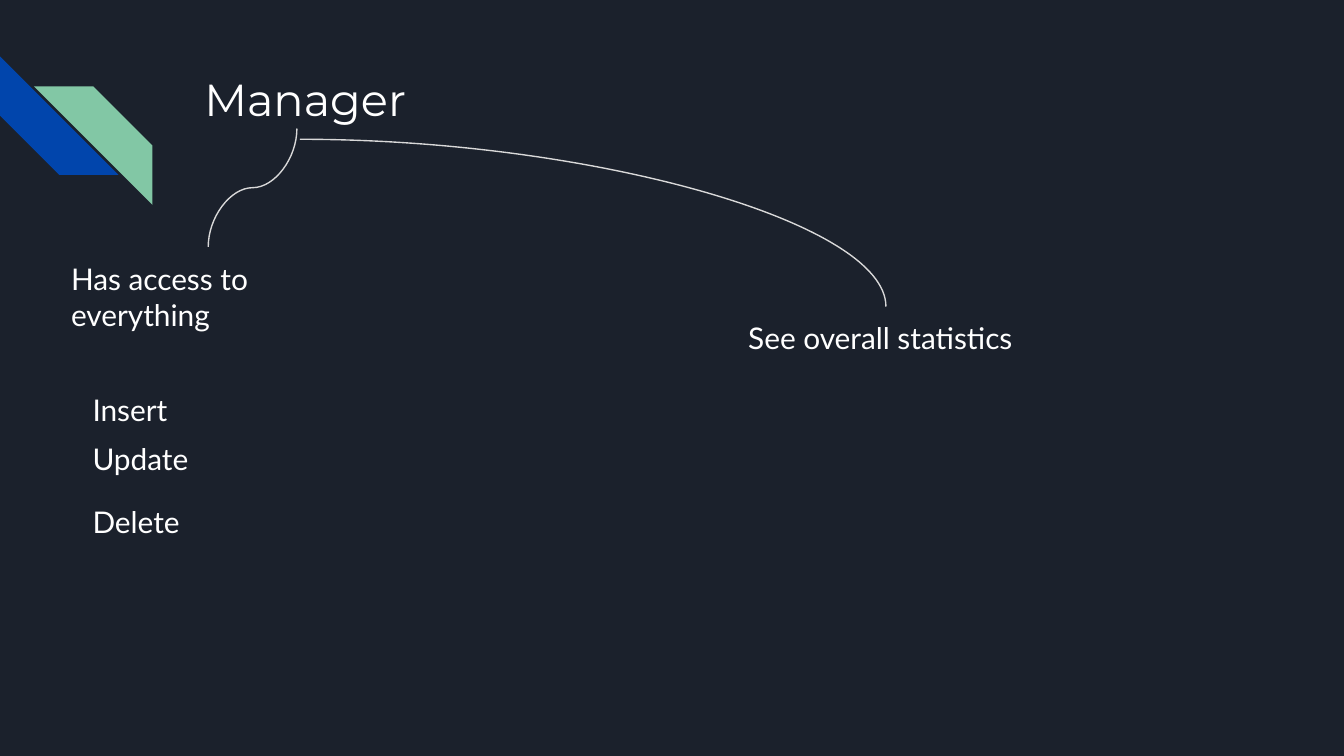
"""Build the Manager permissions slide."""
from pptx import Presentation
from pptx.dml.color import RGBColor
from pptx.enum.shapes import MSO_CONNECTOR as CONN, MSO_SHAPE as SHAPE
from pptx.oxml.ns import qn
from pptx.util import Pt
from lxml.etree import SubElement

NAVY = RGBColor(0x1B, 0x21, 0x2C)
BLUE = RGBColor(0x01, 0x45, 0xAC)
GREEN = RGBColor(0x82, 0xC7, 0xA5)
WHITE = RGBColor(0xFF, 0xFF, 0xFF)
GREY = RGBColor(0xD9, 0xD9, 0xD9)


def write(tf, text, font="Lato", size=16, color=WHITE):
    r = tf.paragraphs[0].add_run()
    r.text = text
    r.font.name, r.font.size, r.font.color.rgb = font, Pt(size), color


class Deck:
    def __init__(self, width, height, background):
        self.prs = Presentation()
        self.prs.slide_width, self.prs.slide_height = Pt(width), Pt(height)
        self.s = self.prs.slides.add_slide(self.prs.slide_layouts[6])
        fill = self.s.background.fill
        fill.solid()
        fill.fore_color.rgb = background

    def stripe(self, x, y, size, color, rotation=0, flip=False):
        sp = self.s.shapes.add_shape(SHAPE.DIAGONAL_STRIPE, Pt(x), Pt(y), Pt(size), Pt(size))
        sp.adjustments[0] = 0.5
        sp.rotation = rotation
        sp.shadow.inherit = False
        sp.fill.solid()
        sp.fill.fore_color.rgb = color
        sp.line.fill.background()
        if flip:
            sp._element.spPr.find(qn("a:xfrm")).set("flipH", "1")

    def text(self, x, y, w, h, text, **fmt):
        tf = self.s.shapes.add_textbox(Pt(x), Pt(y), Pt(w), Pt(h)).text_frame
        tf.word_wrap = True
        tf.margin_left = tf.margin_right = tf.margin_top = tf.margin_bottom = Pt(7.2)
        write(tf, text, **fmt)

    def curve(self, x, y, w, h, preset="curvedConnector3", rotation=0):
        cxn = self.s.shapes.add_connector(CONN.CURVE, Pt(x), Pt(y), Pt(x + w), Pt(y + h))
        cxn.line.color.rgb = GREY
        cxn.line.width = Pt(0.75)
        pr = cxn._element.spPr
        pr.find(qn("a:prstGeom")).set("prst", preset)
        if rotation:
            pr.find(qn("a:xfrm")).set("rot", str(rotation * 60000))
        SubElement(pr, qn("a:effectLst"))


def main():
    deck = Deck(720, 405, NAVY)
    deck.stripe(0, 30.2, 63.5, BLUE, rotation=270)
    deck.stripe(18.2, 46.3, 63.5, GREEN, flip=True)
    deck.text(102.4, 31, 554.4, 72, "Manager", font="Montserrat", size=24)
    deck.text(31, 132.5, 160.6, 53.3, "Has access to everything")
    for y, action in ((202.5, "Insert"), (228.8, "Update"), (262.5, "Delete")):
        deck.text(42.5, y, 87.8, 33.8, action)
    deck.text(393.8, 164.2, 161.3, 33.8, "See overall statistics")
    deck.curve(103.6, 76.8, 63.4, 47.5, rotation=90)
    deck.curve(160.6, 74.6, 314, 89.6, preset="curvedConnector2")
    deck.prs.save("out.pptx")


if __name__ == "__main__":
    main()
